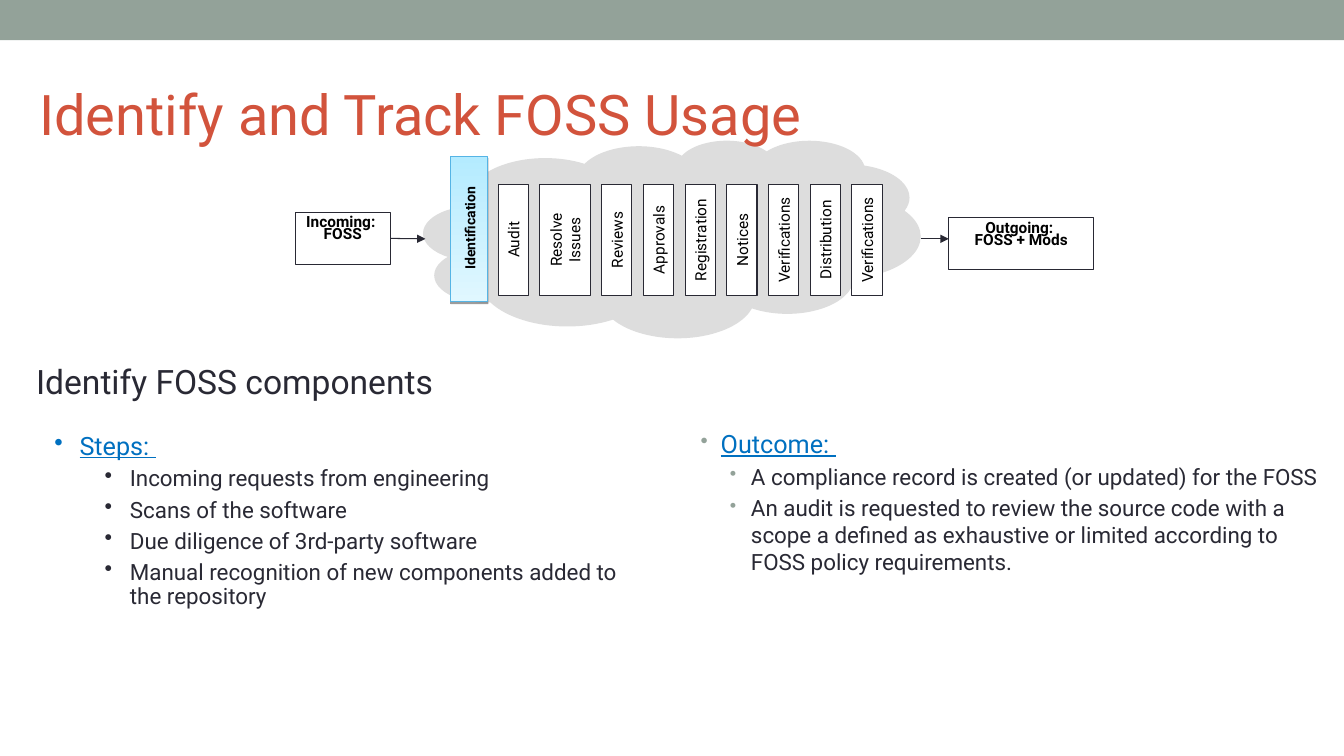
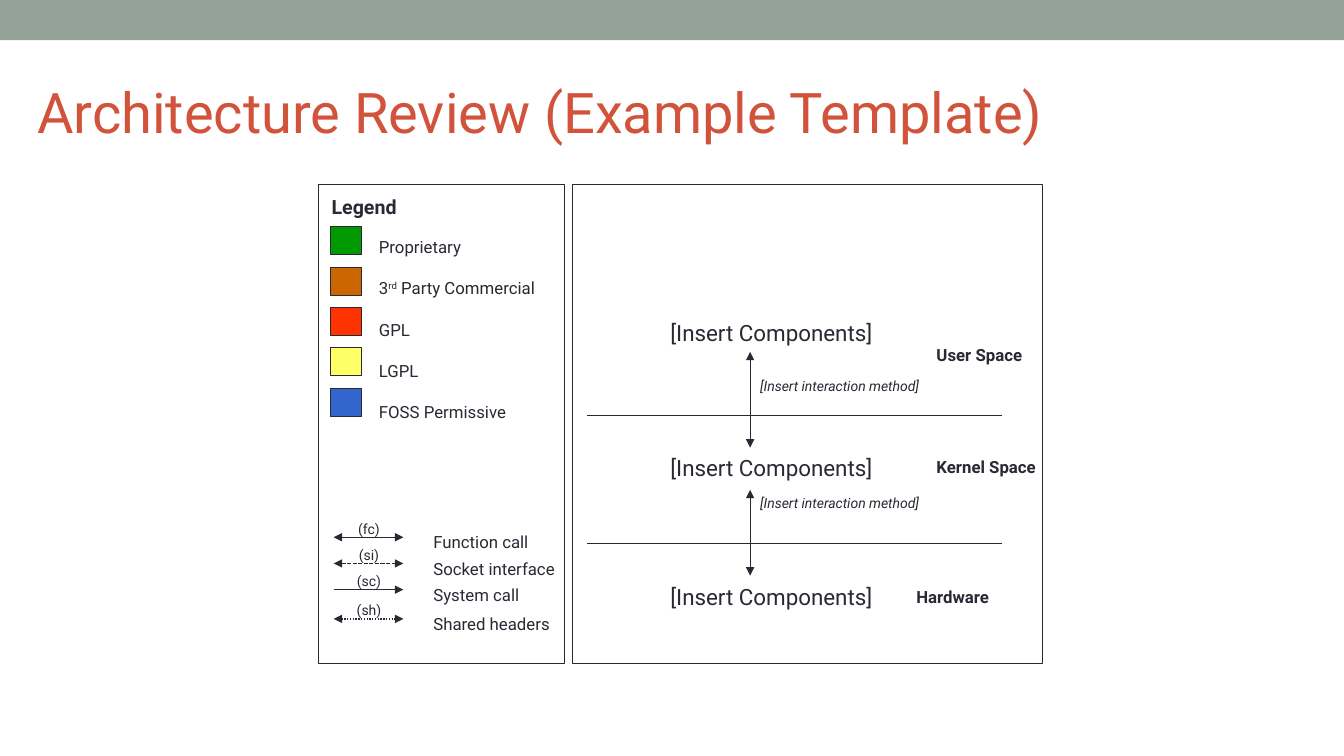
"""Build two slides on tracking and reviewing FOSS usage."""
from dataclasses import dataclass

from lxml.etree import SubElement
from pptx import Presentation
from pptx.dml.color import RGBColor
from pptx.enum.dml import MSO_LINE as Dash
from pptx.enum.shapes import MSO_CONNECTOR, MSO_SHAPE as Preset
from pptx.enum.text import MSO_ANCHOR as Anchor, PP_ALIGN as Align
from pptx.oxml.ns import qn
from pptx.util import Inches, Pt


@dataclass(frozen=True)
class Theme:
    font: str = "Roboto"
    ink: str = "292934"
    black: str = "000000"
    white: str = "FFFFFF"
    band: str = "93A299"
    title: str = "D2533C"
    accent: str = "0070C0"
    cloud: str = "DDDDDD"
    active_line: str = "55B4E5"
    active_top: str = "B4EBFF"
    active_bottom: str = "E0F7FF"
    title_size: int = 40
    heading_size: int = 24
    list_head_size: int = 18
    body_size: int = 16
    legend_size: int = 14
    label_size: int = 12
    stage_size: int = 11
    small_size: int = 10


theme = Theme()
rgb = RGBColor.from_string


def add_box(page, at, lines=(), size=theme.label_size, color=theme.ink, fill=None,
            line=None, weight=0.75, preset=Preset.RECTANGLE, anchor=Anchor.TOP,
            rotation=0, para_format=None, **font):
    """Add a text box or a preset shape; text between carets is superscript."""
    place = [Inches(length) for length in at]
    if fill or line:
        box = page.shapes.add_shape(preset, *place)
        box.shadow.inherit = False
        if fill:
            box.fill.solid()
            box.fill.fore_color.rgb = rgb(fill)
        else:
            box.fill.background()
        if line:
            box.line.color.rgb = rgb(line)
            box.line.width = Pt(weight)
        else:
            box.line.fill.background()
    else:
        box = page.shapes.add_textbox(*place)
    box.rotation = rotation
    frame = box.text_frame
    frame.word_wrap = True
    frame.vertical_anchor = anchor
    for index, text in enumerate(lines):
        para = frame.add_paragraph() if index else frame.paragraphs[0]
        for name, value in {"alignment": Align.LEFT, **(para_format or {})}.items():
            setattr(para, name, value)
        for part, words in enumerate(text.split("^")):
            span = para.add_run()
            span.text = words
            span.font.color.rgb = rgb(color)
            for name, value in {"name": theme.font, "size": Pt(size), **font}.items():
                setattr(span.font, name, value)
            if part % 2:
                span._r.get_or_add_rPr().set("baseline", "30000")
    return box


def add_line(page, start, end, weight=0.75, ends=(), dash=None):
    """Add a straight line with triangles at the named ends."""
    points = [Inches(length) for length in (*start, *end)]
    connector = page.shapes.add_connector(MSO_CONNECTOR.STRAIGHT, *points)
    connector.line.color.rgb = rgb(theme.ink)
    connector.line.width = Pt(weight)
    if dash:
        connector.line.dash_style = dash
    for name in ends:
        SubElement(connector.line._get_or_add_ln(), qn(f"a:{name}"), type="triangle")
    SubElement(connector._element.spPr, qn("a:effectLst"))
    return connector


deck = Presentation()
deck.slide_width, deck.slide_height = Inches(13.33), Inches(7.5)
usage, review = [deck.slides.add_slide(deck.slide_layouts[6]) for _ in range(2)]
centred = {"alignment": Align.CENTER}
both = ("headEnd", "tailEnd")

add_box(usage, (0.26, 3.53, 4.24, 0.91), ["Identify FOSS components"], theme.heading_size)

bullet_lists = [
    {"at": (0.44, 4.25, 6.02, 2.86), "indents": [(0.25, 0.25), (0.75, 0.25)],
     "colors": [theme.accent, theme.ink], "scale": 100, "spacing": 0.9, "before": 5,
     "lines": ["Steps: ", "Incoming requests from engineering", "Scans of the software",
               "Due diligence of 3rd-party software",
               "Manual recognition of new components added to the repository"]},
    {"at": (6.85, 4.2, 6.48, 2.52), "indents": [(0.2, 0.2), (0.5, 0.21)],
     "colors": [theme.band, theme.band], "scale": 85, "spacing": 1.0, "before": 3.2,
     "lines": ["Outcome: ", "A compliance record is created (or updated) for the FOSS",
               "An audit is requested to review the source code with a scope a defined as "
               "exhaustive or limited according to FOSS policy requirements."]},
]
for bullets in bullet_lists:
    box = add_box(usage, bullets["at"], bullets["lines"], theme.body_size,
                  para_format={"line_spacing": bullets["spacing"]})
    for index, para in enumerate(box.text_frame.paragraphs):
        level = min(index, 1)
        para.level = level
        para.space_before = Pt(bullets["before"] * level)
        margin, hanging = bullets["indents"][level]
        properties = para._p.get_or_add_pPr()
        properties.set("marL", str(Inches(margin)))
        properties.set("indent", str(-Inches(hanging)))
        bullet_color = SubElement(properties, qn("a:buClr"))
        SubElement(bullet_color, qn("a:srgbClr"), val=bullets["colors"][level])
        SubElement(properties, qn("a:buSzPct"), val=str(bullets["scale"] * 1000))
        SubElement(properties, qn("a:buChar"), char="•")
    head = box.text_frame.paragraphs[0].runs[0].font
    head.size, head.underline = Pt(theme.list_head_size), True
    head.color.rgb = rgb(theme.accent)

cloud = add_box(usage, (4.2, 1.39, 4.93, 1.96), fill=theme.cloud, preset=Preset.CLOUD_CALLOUT)
cloud.adjustments[0], cloud.adjustments[1] = -0.25, 0.16

incoming, outgoing = [
    add_box(usage, at, lines, theme.stage_size, theme.black, theme.white, theme.ink,
            para_format={**centred, "line_spacing": spacing}, bold=True)
    for at, lines, spacing in [
        ((2.93, 2.11, 0.94, 0.51), ["Incoming: ", "FOSS"], 0.65),
        ((9.41, 2.16, 1.44, 0.51), ["Outgoing: ", "FOSS + Mods"], 0.7)]]
inflow = add_line(usage, (3.87, 2.37), (4.22, 2.37), ends=["tailEnd"])
inflow.begin_connect(incoming, 3)
add_line(usage, (9.13, 2.37), (9.41, 2.37), ends=["tailEnd"])

active = add_box(usage, (4.47, 1.55, 0.37, 1.44), fill=theme.white, line=theme.active_line)
active.fill.gradient()
active.fill.gradient_angle = 270
for stop, position, color in zip(active.fill.gradient_stops, (0, 1),
                                 (theme.active_top, theme.active_bottom)):
    stop.position, stop.color.rgb = position, rgb(color)
effects = active._element.spPr.find(qn("a:effectLst"))
shadow = SubElement(effects, qn("a:outerShdw"), blurRad="0", dist=str(Pt(1.6)),
                    dir="5400000", rotWithShape="0")
shade = SubElement(shadow, qn("a:srgbClr"), val=theme.black)
SubElement(shade, qn("a:alpha"), val="38000")
add_box(usage, (3.94, 2.08, 1.44, 0.37), ["Identification"], theme.small_size, theme.black,
        anchor=Anchor.MIDDLE, rotation=270, para_format=centred, bold=True)

stages = ["Audit", "Resolve Issues", "Reviews", "Approvals", "Registration", "Notices",
          "Verifications", "Distribution", "Verifications"]
breadths = [0.5 if " " in stage else 0.3 for stage in stages]
stage_left, stage_right, stage_middle, stage_length = 4.94, 8.75, 2.38, 1.1
gap = (stage_right - stage_left - sum(breadths)) / (len(stages) - 1)
for stage, breadth in zip(stages, breadths):
    at = (stage_left + (breadth - stage_length) / 2, stage_middle - breadth / 2,
          stage_length, breadth)
    add_box(usage, at, [stage], theme.stage_size, theme.black, theme.white, theme.ink,
            anchor=Anchor.MIDDLE, rotation=270, para_format=centred)
    stage_left += breadth + gap

for left, width in [(3.16, 2.44), (5.68, 4.66)]:
    add_box(review, (left, 1.83, width, 4.75), line=theme.ink, weight=1)

add_box(review, (3.19, 1.88, 1.2, 0.34), ["Legend"], theme.legend_size, bold=True)
licences = [("Proprietary", "009900"), ("3^rd^ Party Commercial", "CC6600"),
            ("GPL", "FF3300"), ("LGPL", "FFFF66"), ("FOSS Permissive", "3366CC")]
for row, (licence, color) in enumerate(licences):
    add_box(review, (3.28, 2.25 + 0.4 * row, 0.31, 0.28), fill=color, line=theme.ink)
    add_box(review, (3.66, 2.3 + 0.41 * row, 1.9, 0.3), [licence])

calls = [(5.33, "(fc)", "Function call", both, None),
         (5.59, "(si)", "Socket interface", both, Dash.SQUARE_DOT),
         (5.85, "(sc)", "System call", ["tailEnd"], None),
         (6.14, "(sh)", "Shared headers", both, Dash.ROUND_DOT)]
for top, tag, call, ends, dash in calls:
    add_line(review, (3.31, top), (4, top), 1, ends, dash)
    add_box(review, (3.41, top - 0.22, 0.5, 0.27), [tag], theme.small_size,
            para_format=centred)
    add_box(review, (4.2, top - 0.1, 1.5, 0.3), [call])

for top in (4.12, 5.39):
    add_line(review, (5.82, top), (9.94, top), 1)
for left, top, layer in [(9.19, 3.37, "User Space"), (9.19, 4.48, "Kernel Space"),
                         (8.99, 5.77, "Hardware")]:
    add_box(review, (left, top, 1.3, 0.3), [layer], bold=True)
for top in (3.12, 4.46, 5.74):
    add_box(review, (6.55, top, 2.3, 0.37), ["[Insert Components]"], theme.body_size)
for start, end, label_top in [(3.49, 4.44, 3.7), (4.86, 5.71, 4.86)]:
    add_line(review, (7.44, start), (7.44, end), ends=both)
    add_box(review, (7.44, label_top, 1.9, 0.27), ["[Insert interaction method]"],
            theme.small_size, italic=True)

for page, left, top, title in [(usage, 0.29, 0.58, "Identify and Track FOSS Usage"),
                               (review, 0.27, 0.56, "Architecture Review (Example Template)")]:
    add_box(page, (0, 0, 13.33, 0.4), fill=theme.band)
    add_box(page, (left, top, 12, 1.08), [title], theme.title_size, theme.title,
            anchor=Anchor.MIDDLE)

deck.save("out.pptx")
